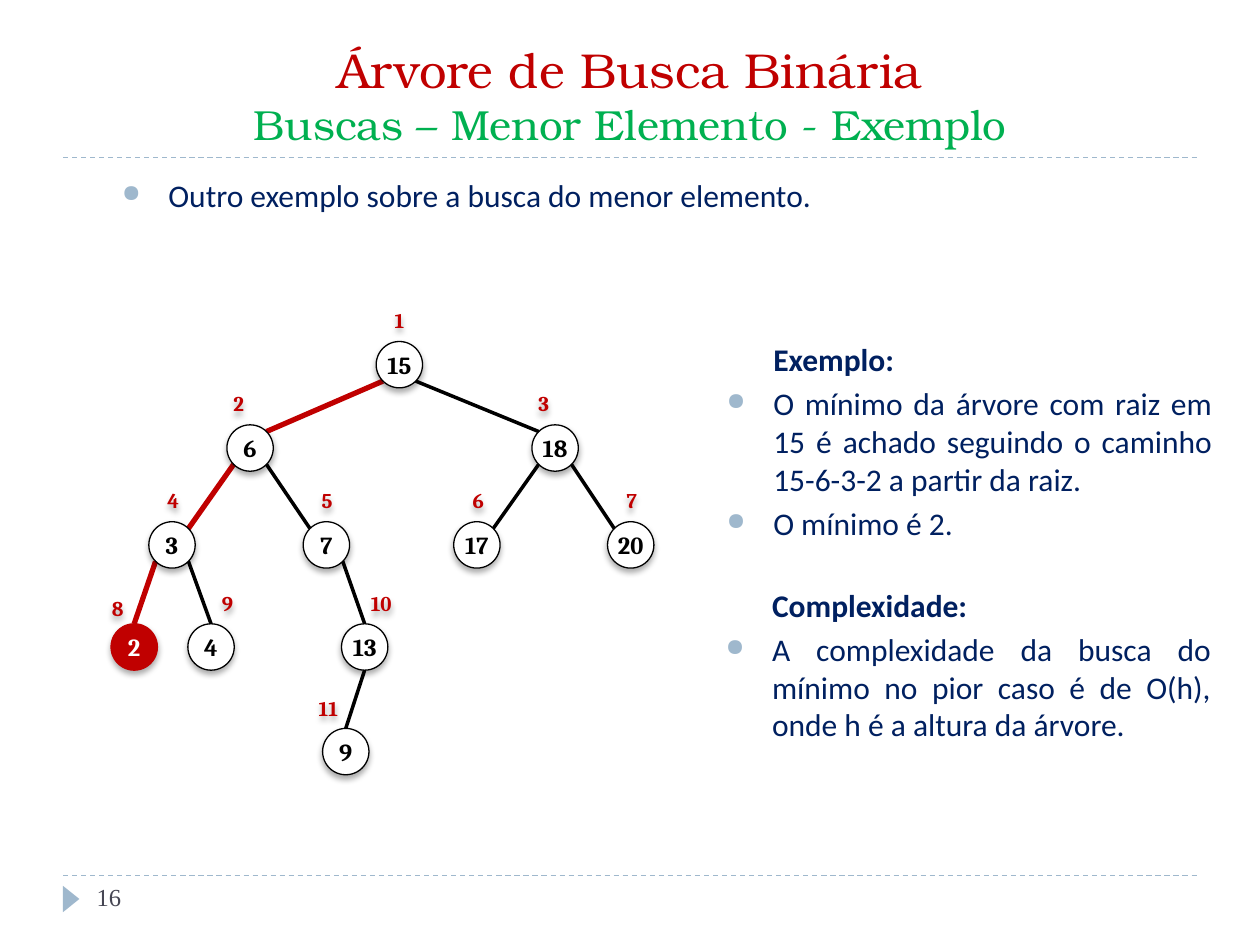
import lxml.etree
import pptx
import pptx.dml.color
import pptx.enum.dml
import pptx.enum.shapes
import pptx.enum.text
import pptx.oxml
import pptx.oxml.ns
import pptx.util

Pt = pptx.util.Pt
Align = pptx.enum.text.PP_ALIGN
Anchor = pptx.enum.text.MSO_ANCHOR
Shape = pptx.enum.shapes.MSO_SHAPE
qn = pptx.oxml.ns.qn

RED, GREEN, NAVY, STEEL = "C00000", "00B050", "002060", "9FB8CD"
BLACK, WHITE, SLATE = "000000", "FFFFFF", "464653"

# Tree geometry, relative to the tree box
NODE_SIZE = 26.5
DIAGONAL = 9.4
ROWS = [13.4, 61, 116.4, 174.7, 234.5]

# key: (depth, centre x, parent, visit number, label offset x, label offset y)
NODES = {
    15: (0, 165.2, None, 1, 0, -25.5),
    6: (1, 79.9, 15, 2, -6.5, -25.5),
    18: (1, 254.2, 15, 3, -6.5, -25.5),
    3: (2, 35.3, 6, 4, 0.7, -25.5),
    7: (2, 123.5, 6, 5, 0.4, -25.5),
    17: (2, 209.5, 18, 6, 0.7, -25.5),
    20: (2, 297.4, 18, 7, 0.7, -25.5),
    2: (3, 13.7, 3, 8, -9.4, -22),
    4: (3, 57.6, 3, 9, 9.4, -24.8),
    13: (3, 145.4, 7, 10, 9.4, -24.8),
    9: (4, 134.6, 13, 11, -10, -24.8),
}
MINIMUM_PATH = [15, 6, 3, 2]


def color(value):
    return pptx.dml.color.RGBColor.from_string(value)


def style(run, size, font, value, bold=False):
    run.font.size = Pt(size)
    run.font.name = font
    run.font.color.rgb = color(value)
    run.font.bold = bold


def add_line(slide, start, end, value, width, dashed=False):
    line = slide.shapes.add_connector(
        pptx.enum.shapes.MSO_CONNECTOR.STRAIGHT, *[Pt(length) for length in (*start, *end)])
    line.line.color.rgb = color(value)
    line.line.width = Pt(width)
    if dashed:
        line.line.dash_style = pptx.enum.dml.MSO_LINE.DASH
    properties = line._element.spPr
    lxml.etree.SubElement(properties, qn("a:effectLst"))


def add_text(slide, box, text, anchor=Anchor.TOP):
    shape = slide.shapes.add_textbox(*[Pt(length) for length in box])
    frame = shape.text_frame
    frame.word_wrap = True
    frame.vertical_anchor = anchor
    frame.text = text
    return shape


def center_text(shape, size, value):
    """Centre one bold number in a shape without margins."""
    frame = shape.text_frame
    frame.margin_left = frame.margin_right = frame.margin_top = frame.margin_bottom = 0
    frame.vertical_anchor = Anchor.MIDDLE
    frame.paragraphs[0].alignment = Align.CENTER
    style(frame.paragraphs[0].runs[0], size, "Cambria", value, True)


def add_shadow(shape):
    shape.shadow.inherit = False
    effects = shape._element.spPr.find(qn("a:effectLst"))
    shadow = lxml.etree.SubElement(
        effects, qn("a:outerShdw"), blurRad=str(Pt(3.5)), dist=str(Pt(2.2)),
        dir="5400000", rotWithShape="0")
    black = lxml.etree.SubElement(shadow, qn("a:srgbClr"), val=BLACK)
    lxml.etree.SubElement(black, qn("a:alpha"), val="32000")


def set_indent(paragraph, bulleted):
    properties = paragraph._p.get_or_add_pPr()
    properties.set("marL", str(Pt(26.6)))
    if not bulleted:
        properties.set("indent", "0")
        return
    properties.set("indent", str(Pt(-26.6)))
    bullet_color = lxml.etree.SubElement(properties, qn("a:buClr"))
    lxml.etree.SubElement(bullet_color, qn("a:srgbClr"), val=STEEL)
    lxml.etree.SubElement(properties, qn("a:buSzPct"), val="76000")
    lxml.etree.SubElement(properties, qn("a:buChar"), char="●")


def add_title(slide, box):
    shape = add_text(slide, box, "Árvore de Busca Binária\vBuscas – Menor Elemento - Exemplo",
                     Anchor.MIDDLE)
    paragraph = shape.text_frame.paragraphs[0]
    paragraph.alignment = Align.CENTER
    for run, size, value in zip(paragraph.runs, (28, 24), (RED, GREEN)):
        style(run, size, "TeX Gyre Bonum", value)
    left, top, width, height = box
    bottom = top + height
    add_line(slide, (left, bottom), (left + width, bottom), STEEL, 0.75, True)


def add_footer(slide, box):
    left, top, width, height = box
    add_line(slide, (left, top), (left + width, top), STEEL, 0.75, True)
    marker = slide.shapes.add_shape(
        Shape.ISOSCELES_TRIANGLE, Pt(left - 2.9), Pt(top + 8.6), Pt(15.1), Pt(9.4))
    marker.rotation = 90
    marker.shadow.inherit = False
    marker.fill.solid()
    marker.fill.fore_color.rgb = color(STEEL)
    marker.line.fill.background()
    number = add_text(slide, (left + 12.2, top, 156, height), "16")
    style(number.text_frame.paragraphs[0].runs[0], 14, "Times New Roman", SLATE)


def add_notes_block(slide, box, items, heading=None):
    """Place an optional bold heading followed by bulleted, justified items."""
    lines = [heading, *items] if heading else items
    frame = add_text(slide, box, "\n".join(lines)).text_frame
    for index, paragraph in enumerate(frame.paragraphs):
        is_heading = heading is not None and index == 0
        paragraph.alignment = Align.JUSTIFY
        if index:
            paragraph.space_before = Pt(3.6)
        set_indent(paragraph, not is_heading)
        style(paragraph.runs[0], 18, "Calibri", NAVY, is_heading)


def add_tree(slide, box):
    left, top = box[:2]
    centers = {key: (left + node[1], top + ROWS[node[0]]) for key, node in NODES.items()}
    radius = NODE_SIZE / 2

    # Edges: diagonal ends in the upper rows, vertical ends lower down
    for key, (depth, _, parent, *_) in NODES.items():
        if parent is None:
            continue
        (x, y), (parent_x, parent_y) = centers[key], centers[parent]
        side = DIAGONAL if x > parent_x else -DIAGONAL
        start = ((parent_x + side, parent_y + DIAGONAL) if depth < 4
                 else (parent_x, parent_y + radius))
        end = (x - side, y - DIAGONAL) if depth < 3 else (x, y - radius)
        on_path = key in MINIMUM_PATH
        add_line(slide, start, end, RED if on_path else BLACK, 3 if on_path else 2)

    # Nodes with their visit numbers
    for key, (_, _, _, visit, offset_x, offset_y) in NODES.items():
        x, y = centers[key]
        is_minimum = key == MINIMUM_PATH[-1]
        node = slide.shapes.add_shape(
            Shape.OVAL, Pt(x - radius), Pt(y - radius), Pt(NODE_SIZE), Pt(NODE_SIZE))
        node.fill.solid()
        node.fill.fore_color.rgb = color(RED if is_minimum else WHITE)
        node.line.color.rgb = color(RED if is_minimum else BLACK)
        node.line.width = Pt(0.75)
        add_shadow(node)
        node.text_frame.word_wrap = False
        node.text_frame.text = str(key)
        center_text(node, 14, WHITE if is_minimum else BLACK)

        label = add_text(
            slide, (x + offset_x - 14.75, y + offset_y - 10.8, 29.5, 21.6), str(visit))
        center_text(label, 12, RED)
        add_shadow(label)


def main():
    presentation = pptx.Presentation()
    presentation.slide_width, presentation.slide_height = Pt(720), Pt(540)
    slide = presentation.slides.add_slide(presentation.slide_layouts[6])

    add_title(slide, (36, 18, 648, 72))
    add_footer(slide, (36, 500.4, 648, 28.8))
    add_notes_block(slide, (62.6, 97.2, 612, 33),
                    ["Outro exemplo sobre a busca do menor elemento."])
    add_tree(slide, (63, 195, 311, 248))
    add_notes_block(slide, (408.2, 190.8, 291.6, 125.3), [
        "O mínimo da árvore com raiz em 15 é achado seguindo o caminho 15-6-3-2 "
        "a partir da raiz.",
        "O mínimo é 2."], "Exemplo:")
    add_notes_block(slide, (407.5, 331.2, 291.6, 98.6), [
        "A complexidade da busca do mínimo no pior caso é de O(h), "
        "onde h é a altura da árvore."], "Complexidade:")
    presentation.save("out.pptx")


if __name__ == "__main__":
    main()
